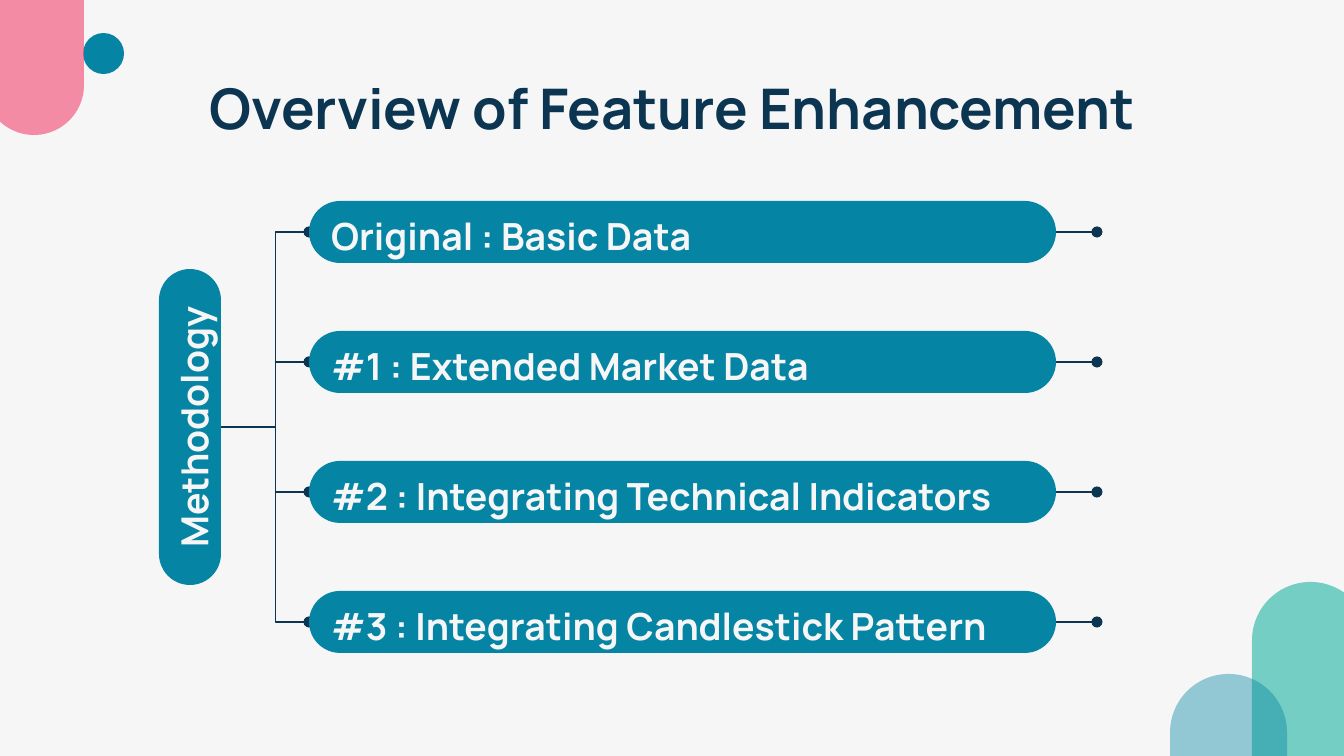
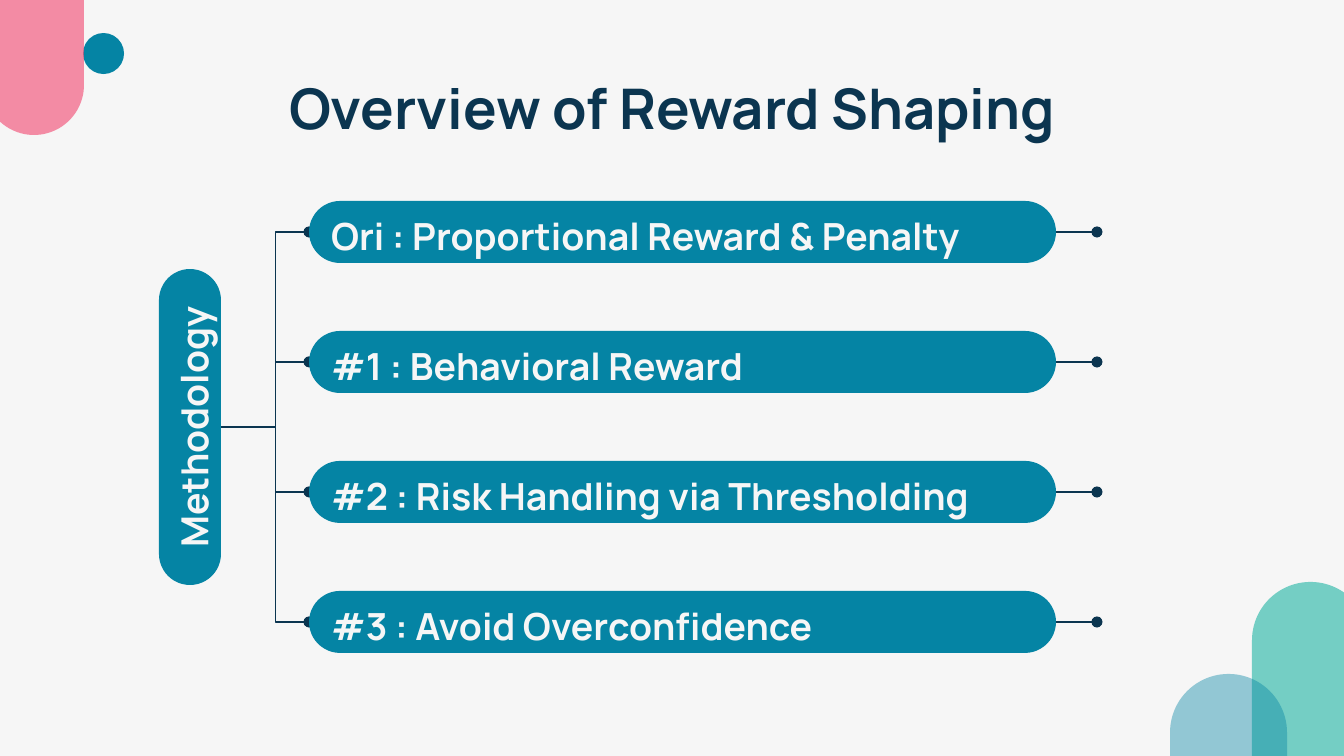
"""Two overview slides: a methodology bar branching out to four labelled steps."""
from dataclasses import dataclass

from lxml.etree import SubElement
from pptx import Presentation
from pptx.dml.color import RGBColor
from pptx.enum.shapes import MSO_CONNECTOR as Link, MSO_SHAPE as Preset
from pptx.enum.text import MSO_ANCHOR as Anchor, PP_ALIGN as Align
from pptx.oxml.ns import qn
from pptx.util import Emu, Pt

PX = 914400 / 134.4
PAPER = RGBColor(0xF6, 0xF6, 0xF6)
NAVY = RGBColor(0x0B, 0x35, 0x50)
TEAL = RGBColor(0x05, 0x84, 0xA4)
MINT = RGBColor(0x74, 0xCE, 0xC4)
PINK = RGBColor(0xF2, 0x55, 0x7A)
FONT = "Manrope"
INSET = 13

STEP_LEFT, STEP_TOP, STEP_WIDTH, STEP_PITCH = 309, 201, 747, 130
BAR_THICKNESS = 62
STUB_LENGTH = 41
ROOT_RIGHT, ROOT_MIDDLE = 221, 427


@dataclass(frozen=True)
class Block:
    left: int
    top: int
    width: int
    height: int
    color: RGBColor = TEAL
    opacity: int = 100
    preset: Preset = Preset.ROUNDED_RECTANGLE
    rotation: int = 0


@dataclass(frozen=True)
class Overview:
    title: str
    steps: tuple[str, ...]


DECOR = (
    Block(1252, 582, 117, 608, MINT),
    Block(1170, 674, 117, 421, opacity=41),
    Block(83, 33, 41, 41, preset=Preset.OVAL),
    Block(-16, -134, 100, 269, PINK, opacity=66),
)
ROOT = Block(32, 396, 316, BAR_THICKNESS, rotation=270)
OVERVIEWS = (
    Overview("Overview of Feature Enhancement", (
        "Original : Basic Data",
        "#1 : Extended Market Data",
        "#2 : Integrating Technical Indicators",
        "#3 : Integrating Candlestick Pattern",
    )),
    Overview("Overview of Reward Shaping", (
        "Ori : Proportional Reward & Penalty",
        "#1 : Behavioral Reward",
        "#2 : Risk Handling via Thresholding",
        "#3 : Avoid Overconfidence",
    )),
)


def px(length: int) -> Emu:
    return Emu(round(length * PX))


def write(shape, text: str, *, size: int = 20, color: RGBColor = PAPER,
          align: Align = Align.JUSTIFY, anchor: Anchor = Anchor.MIDDLE,
          spacing: float = 1.15, inset_top: int = INSET) -> None:
    frame = shape.text_frame
    frame.word_wrap = True
    frame.vertical_anchor = anchor
    frame.margin_left = frame.margin_right = frame.margin_bottom = px(INSET)
    frame.margin_top = px(inset_top)
    paragraph = frame.paragraphs[0]
    paragraph.alignment = align
    paragraph.line_spacing = spacing
    run = paragraph.add_run()
    run.text = text
    run.font.name, run.font.size, run.font.bold = FONT, Pt(size), True
    run.font.color.rgb = color


def draw_block(slide, block: Block):
    shape = slide.shapes.add_shape(block.preset, px(block.left), px(block.top),
                                   px(block.width), px(block.height))
    shape.shadow.inherit = False
    shape.rotation = block.rotation
    if block.preset == Preset.ROUNDED_RECTANGLE:
        shape.adjustments[0] = 0.5
    shape.fill.solid()
    shape.fill.fore_color.rgb = block.color
    shape.line.fill.background()
    if block.opacity < 100:
        tint = shape.fill._xPr.find(".//" + qn("a:srgbClr"))
        SubElement(tint, qn("a:alpha"), val=str(block.opacity * 1000))
    return shape


def draw_link(slide, kind: Link, start: tuple[int, int], end: tuple[int, int]):
    link = slide.shapes.add_connector(kind, *map(px, start + end))
    link.line.color.rgb = NAVY
    link.line.width = Pt(0.75)
    SubElement(link.line._get_or_add_ln(), qn("a:tailEnd"), type="oval")
    properties = link._element.spPr
    SubElement(properties, qn("a:effectLst"))
    if kind == Link.ELBOW:
        guides = properties.find(qn("a:prstGeom")).get_or_add_avLst()
        SubElement(guides, qn("a:gd"), name="adj1", fmla="val 62000")
    return link


def draw_overview(slide, overview: Overview) -> None:
    for block in DECOR:
        draw_block(slide, block)
    title = slide.shapes.add_textbox(px(106), px(66), px(1133), px(85))
    write(title, overview.title, size=30, color=NAVY, align=Align.CENTER,
          anchor=Anchor.TOP, spacing=1.0, inset_top=8)

    tops = [STEP_TOP + i * STEP_PITCH for i in range(len(overview.steps))]
    middles = [top + BAR_THICKNESS // 2 for top in tops]
    for middle in middles:
        draw_link(slide, Link.ELBOW, (ROOT_RIGHT, ROOT_MIDDLE), (STEP_LEFT, middle))
    write(draw_block(slide, ROOT), "Methodology", align=Align.CENTER)

    step_right = STEP_LEFT + STEP_WIDTH
    for text, top, middle in zip(overview.steps, tops, middles):
        step = draw_block(slide, Block(STEP_LEFT, top, STEP_WIDTH, BAR_THICKNESS))
        write(step, text)
        stub = draw_link(slide, Link.STRAIGHT, (step_right, middle),
                         (step_right + STUB_LENGTH, middle))
        stub.begin_connect(step, 3)


def main() -> None:
    deck = Presentation()
    deck.slide_width, deck.slide_height = px(1344), px(756)
    backdrop = deck.slide_master.background.fill
    backdrop.solid()
    backdrop.fore_color.rgb = PAPER
    for overview in OVERVIEWS:
        draw_overview(deck.slides.add_slide(deck.slide_layouts[6]), overview)
    deck.save("out.pptx")


if __name__ == "__main__":
    main()
